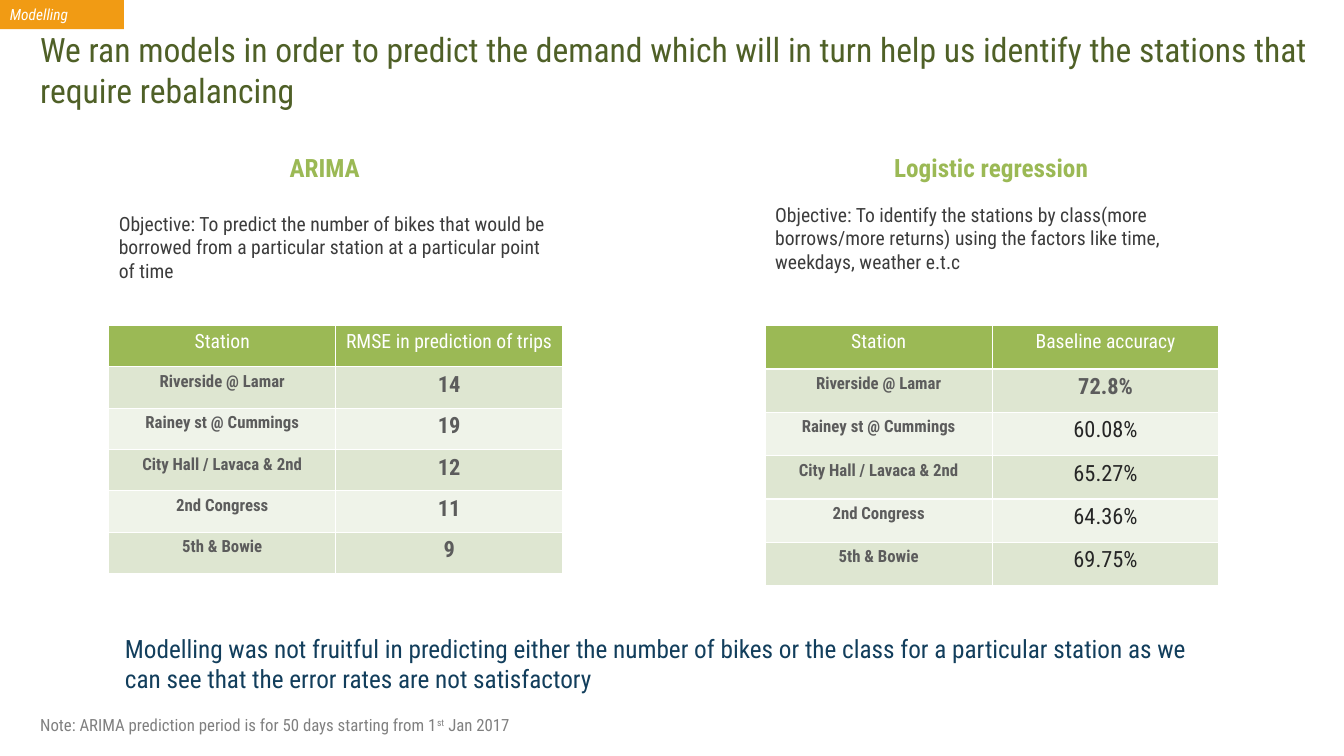
"""Build the slide comparing the ARIMA and logistic regression models."""
from pptx import Presentation
from pptx.dml.color import RGBColor
from pptx.enum.shapes import MSO_SHAPE
from pptx.enum.text import MSO_ANCHOR, PP_ALIGN
from pptx.util import Inches, Pt

FONT = "Roboto Condensed"
GREEN, WHITE, GREY, DARK = "9BB955", "FFFFFF", "5C5C5C", "262626"
BANDS = ["DEE6D1", "EFF3E9"]


def style(text_frame, size, color, bold=False, italic=False, align=PP_ALIGN.LEFT):
    for paragraph in text_frame.paragraphs:
        paragraph.alignment = align
        for run in paragraph.runs:
            font = run.font
            font.name, font.size, font.bold, font.italic = FONT, Pt(size), bold, italic
            font.color.rgb = RGBColor.from_string(color)


def add_text(box, text, size, color, **options):
    text_frame = slide.shapes.add_textbox(*map(Inches, box)).text_frame
    text_frame.word_wrap = True
    text_frame.text = text
    style(text_frame, size, color, **options)
    return text_frame


presentation = Presentation()
presentation.slide_width, presentation.slide_height = Inches(13.33), Inches(7.5)
slide = presentation.slides.add_slide(presentation.slide_layouts[6])

add_text((0.3, 0.24, 12.8, 0.91),
         "We ran models in order to predict the demand which will in turn help us "
         "identify the stations that require rebalancing", 24, "4F6027")

tag = slide.shapes.add_shape(MSO_SHAPE.RECTANGLE, 0, 0, Inches(1.23), Inches(0.29))
tag.shadow.inherit = False
tag.fill.solid()
tag.fill.fore_color.rgb = RGBColor.from_string("F19B14")
tag.line.fill.background()
tag.text_frame.text = "Modelling"
tag.text_frame.vertical_anchor = MSO_ANCHOR.MIDDLE
style(tag.text_frame, 11, WHITE, italic=True)

note = add_text((0.3, 7.04, 12.8, 0.3),
                "Note: ARIMA prediction period is for 50 days starting from 1", 12, "808080")
ordinal, date = [note.paragraphs[0].add_run() for _ in range(2)]
ordinal.text, date.text = "st", " Jan 2017"
style(note, 12, "808080")
ordinal.font._element.set("baseline", "30000")

stations = ["Riverside @ Lamar", "Rainey st @ Cummings", "City Hall / Lavaca & 2nd",
            "2nd Congress", "5th & Bowie"]
models = [
    ("ARIMA", 1.08, 1.76, 2.05, 0.41,
     "Objective: To predict the number of bikes that would be borrowed from a "
     "particular station at a particular point of time",
     "RMSE in prediction of trips", ["14", "19", "12", "11", "9"], 5),
    ("Logistic regression", 7.59, 8.37, 1.96, 0.43,
     "Objective: To identify the stations by class(more borrows/more returns) using "
     "the factors like time, weekdays, weather e.t.c",
     "Baseline accuracy", ["72.8%", "60.08%", "65.27%", "64.36%", "69.75%"], 1),
]
for (name, left, name_left, objective_top, row_height, objective,
     measure, values, bold_count) in models:
    add_text((name_left, 1.46, 2.92, 0.4), name, 18, GREEN, bold=True, align=PP_ALIGN.CENTER)
    add_text((left, objective_top, 4.5, 0.81), objective, 14, "3C3C3C")

    rows = [("Station", measure), *zip(stations, values)]
    table = slide.shapes.add_table(len(rows), 2, Inches(left), Inches(3.23), Inches(4.5),
                                   Inches(row_height * len(rows))).table
    for row_index, row in enumerate(rows):
        for column_index, text in enumerate(row):
            cell = table.cell(row_index, column_index)
            cell.text = text
            cell.fill.solid()
            fill = BANDS[(row_index - 1) % 2] if row_index else GREEN
            cell.fill.fore_color.rgb = RGBColor.from_string(fill)
            if row_index == 0:
                size, color, bold = 14, WHITE, False
            elif column_index == 0:
                size, color, bold = 12, GREY, True
            else:
                bold = row_index <= bold_count
                size, color = 16, GREY if bold else DARK
            style(cell.text_frame, size, color, bold=bold, align=PP_ALIGN.CENTER)

add_text((1.14, 6.23, 11.11, 0.71),
         "Modelling was not fruitful in predicting either the number of bikes or the class "
         "for a particular station as we can see that the error rates are not satisfactory",
         18, "123E5C")

presentation.save("out.pptx")
